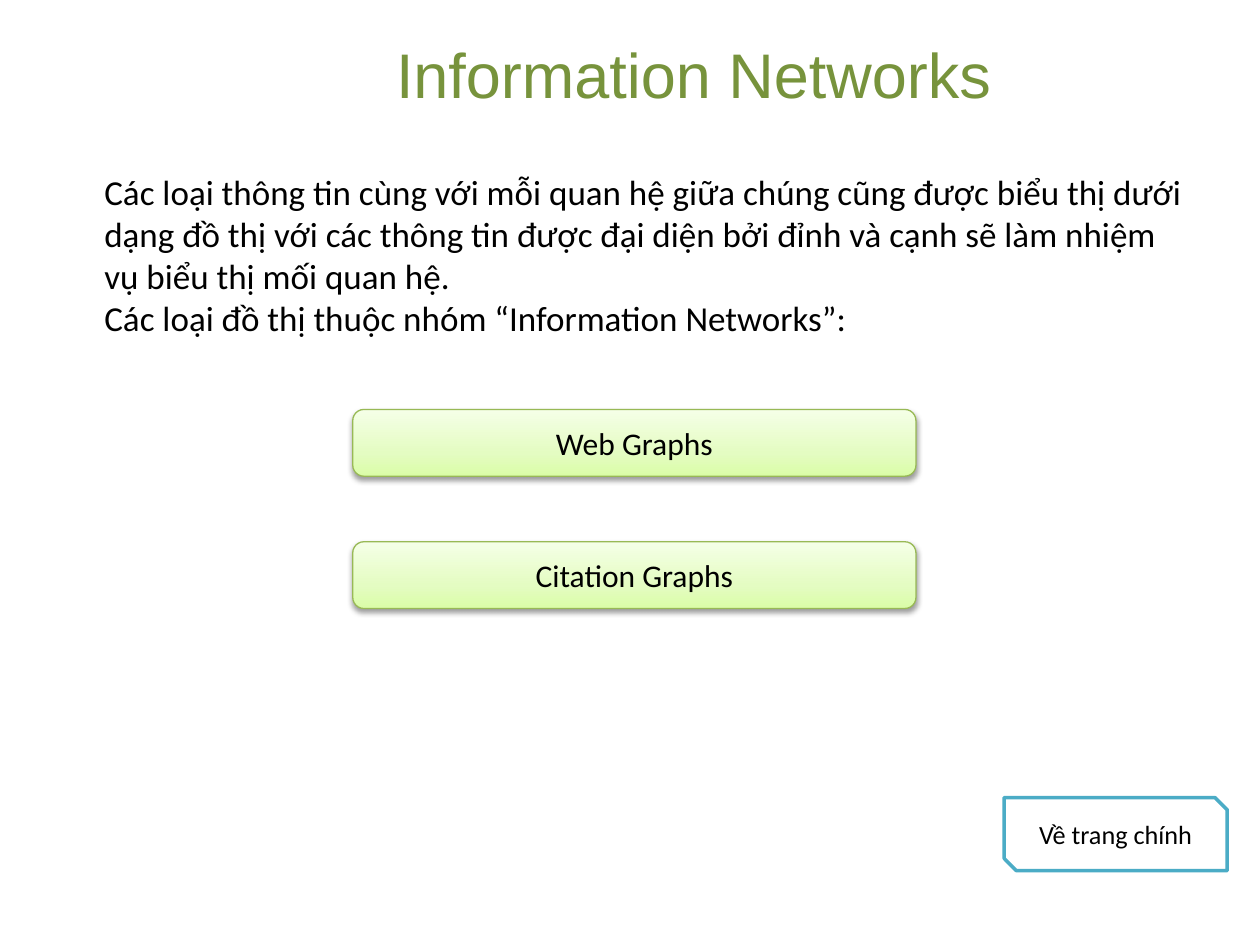
from copy import deepcopy

from lxml.etree import SubElement
from pptx import Presentation
from pptx.dml.color import RGBColor
from pptx.enum.shapes import MSO_SHAPE as Shape
from pptx.enum.text import MSO_ANCHOR as Anchor, PP_ALIGN as Align
from pptx.oxml.ns import qn
from pptx.util import Inches, Pt

TITLE = "Information Networks"
BODY = [
    "Các loại thông tin cùng với mỗi quan hệ giữa chúng cũng được biểu thị dưới "
    "dạng đồ thị với các thông tin được đại diện bởi đỉnh và cạnh sẽ làm nhiệm "
    "vụ biểu thị mối quan hệ.",
    "Các loại đồ thị thuộc nhóm “Information Networks”:",
]
GRAPH_TYPES = ["Web Graphs", "Citation Graphs"]
HOME_LABEL = "Về trang chính"

COLORS = {
    "title": "77933C",
    "text": "000000",
    "button_line": "98B955",
    "home_fill": "FFFFFF",
    "home_line": "4BACC6",
}
GRADIENT = [(0, "DAFDA7"), (0.35, "E4FCC2"), (1, "F5FFE7")]
SHADOW = {"blurRad": Pt(3.1), "dist": Pt(1.6), "dir": 90 * 60000, "rotWithShape": 0}
SHADOW_ALPHA = 38000

TITLE_BOX = (1.51, 0.05, 7.99, 1.06)
BODY_BOX = (0.73, 1.3, 8.77, 1.45)
BUTTON_BOX = (2.8, 3.25, 4.47, 0.53)
BUTTON_PITCH = 1.05
HOME_BOX = (7.97, 6.33, 1.77, 0.58)


def rgb(name):
    return RGBColor.from_string(COLORS[name])


def inches(box):
    return [Inches(length) for length in box]


def write(shape, lines, size, color="text", name="Calibri", align=None, anchor=Anchor.MIDDLE):
    frame = shape.text_frame
    frame.word_wrap = True
    frame.vertical_anchor = anchor
    frame.text = "\n".join(lines)
    for paragraph in frame.paragraphs:
        paragraph.alignment = align
        for run in paragraph.runs:
            for key, value in {"size": Pt(size), "name": name}.items():
                setattr(run.font, key, value)
            run.font.color.rgb = rgb(color)


def add_button(slide, kind, box, label, size, line_color, line_width):
    shape = slide.shapes.add_shape(kind, *inches(box))
    shape.shadow.inherit = False
    shape.line.color.rgb = rgb(line_color)
    shape.line.width = Pt(line_width)
    write(shape, [label], size, align=Align.CENTER)
    return shape


def apply_gradient(shape):
    fill = shape.fill
    fill.gradient()
    fill.gradient_angle = 90
    stop_list = shape.element.spPr.find(".//" + qn("a:gsLst"))
    stop_list.append(deepcopy(stop_list[0]))
    for stop, (position, color) in zip(fill.gradient_stops, GRADIENT):
        stop.position = position
        stop.color.rgb = RGBColor.from_string(color)


def apply_shadow(shape):
    effects = shape.element.spPr.find(qn("a:effectLst"))
    shadow = SubElement(effects, qn("a:outerShdw"), {key: str(value) for key, value in SHADOW.items()})
    color = SubElement(shadow, qn("a:srgbClr"), val=COLORS["text"])
    SubElement(color, qn("a:alpha"), val=str(SHADOW_ALPHA))


def main():
    presentation = Presentation()
    presentation.slide_width, presentation.slide_height = Inches(10), Inches(7.5)
    slide = presentation.slides.add_slide(presentation.slide_layouts[5])

    title = slide.shapes.title
    title.left, title.top, title.width, title.height = inches(TITLE_BOX)
    write(title, [TITLE], 36, "title", "Arial", Align.CENTER)

    body = slide.shapes.add_textbox(*inches(BODY_BOX))
    write(body, BODY, 20, anchor=Anchor.TOP)

    left, top, width, height = BUTTON_BOX
    for row, label in enumerate(GRAPH_TYPES):
        box = (left, top + row * BUTTON_PITCH, width, height)
        button = add_button(slide, Shape.ROUNDED_RECTANGLE, box, label, 18, "button_line", 0.75)
        apply_gradient(button)
        apply_shadow(button)

    home = add_button(slide, Shape.SNIP_2_DIAG_RECTANGLE, HOME_BOX, HOME_LABEL, 15, "home_line", 2)
    home.fill.solid()
    home.fill.fore_color.rgb = rgb("home_fill")

    presentation.save("out.pptx")


if __name__ == "__main__":
    main()
